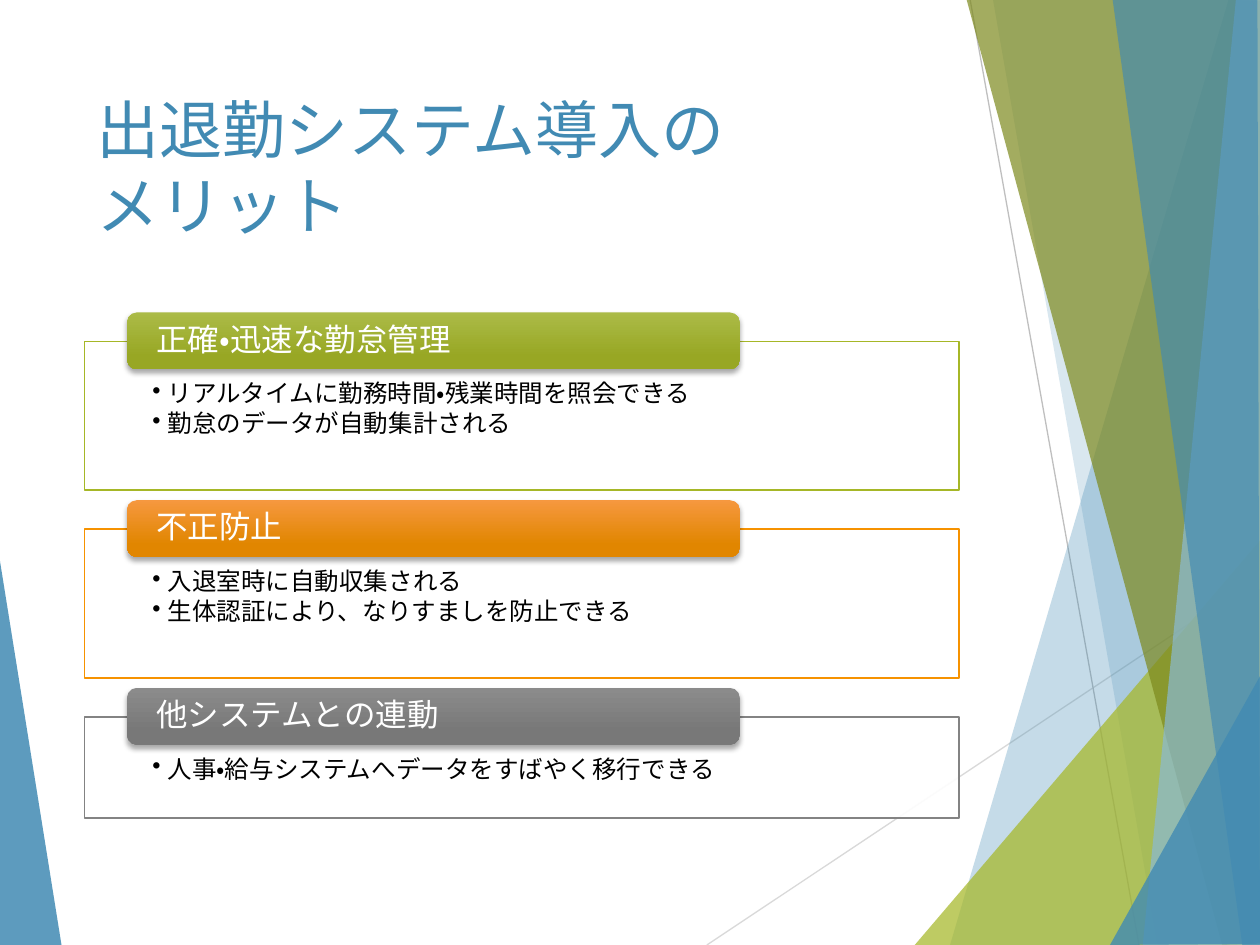
from dataclasses import dataclass

from lxml import etree
from pptx import Presentation
from pptx.dml.color import RGBColor
from pptx.enum import lang, shapes, text
from pptx.oxml import parse_xml
from pptx.oxml.ns import nsdecls, qn
from pptx.util import Inches, Pt


@dataclass(frozen=True)
class Theme:
    font: str = "Lato"
    blue: str = "418AB3"
    pale_blue: str = "8ABAD4"
    green: str = "A6B727"
    dark_green: str = "7D891D"
    white: str = "FFFFFF"
    black: str = "000000"
    title_size: int = 36
    heading_size: int = 18
    point_size: int = 14


@dataclass(frozen=True)
class Facet:
    color: str
    opacity: int
    corners: tuple[tuple[float, float], ...]


@dataclass(frozen=True)
class Ray:
    color: str
    start: tuple[float, float]
    end: tuple[float, float]


@dataclass(frozen=True)
class Merit:
    heading: str
    points: tuple[str, ...]
    height: float
    outline: str
    gradient: tuple[str, str]


THEME = Theme()

LEFT_FACET = Facet(THEME.blue, 85, ((-0.01, 4.39), (0.49, 7.51), (-0.01, 7.5)))
RAYS = (
    Ray("D9D9D9", (5.61, 7.5), (10.01, 4.57)),
    Ray("BFBFBF", (7.7, 0), (9.04, 7.5)),
)
RIGHT_FACETS = (
    Facet(THEME.blue, 30, ((9.75, 0), (7.54, 7.5), (10.02, 7.51), (10.01, 0.01))),
    Facet(THEME.blue, 20, ((7.88, -0.01), (9.19, 7.5), (10.01, 7.5), (10.01, -0.01))),
    Facet(THEME.green, 72, ((7.26, 7.5), (10, 4.29), (10.01, 7.5))),
    Facet(THEME.dark_green, 70, ((7.67, -0.01), (9.7, 7.5), (10.01, 7.49), (10.01, -0.01))),
    Facet(THEME.pale_blue, 70, ((9.81, -0.01), (9.07, 7.5), (10.01, 7.5), (10, -0.01))),
    Facet(THEME.blue, 65, ((8.83, -0.01), (9.86, 7.5), (10, 7.5), (9.98, -0.01))),
    Facet(THEME.blue, 80, ((8.81, 7.5), (10.01, 5.35), (10.01, 7.49))),
)

TITLE_LINES = ("出退勤システム導入の", "メリット")
MERITS = (
    Merit("正確・迅速な勤怠管理",
          ("リアルタイムに勤務時間・残業時間を照会できる", "勤怠のデータが自動集計される"),
          1.18, THEME.green, ("ABBB47", "98A724")),
    Merit("不正防止",
          ("入退室時に自動収集される", "生体認証により、なりすましを防止できる"),
          1.18, "F69200", ("F6983F", "E18600")),
    Merit("他システムとの連動",
          ("人事・給与システムへデータをすばやく移行できる",),
          0.8, "838383", ("8B8B8B", "787878")),
)
MARGIN, CONTENT_WIDTH = 0.67, 6.94
FIRST_TOP, PITCH, HEADING_RISE = 2.71, 1.49, 0.23


def rgb(color: str) -> RGBColor:
    return RGBColor.from_string(color)


def fill_solid(shape, color: str, opacity: int) -> None:
    shape.fill.solid()
    shape.fill.fore_color.rgb = rgb(color)
    tint = shape.fill._xPr.find(qn("a:solidFill"))[0]
    etree.SubElement(tint, qn("a:alpha")).set("val", str(opacity * 1000))


def add_facet(slide, facet: Facet) -> None:
    (x, y), *others = facet.corners
    builder = slide.shapes.build_freeform(Inches(x), Inches(y))
    builder.add_line_segments([(Inches(a), Inches(b)) for a, b in others], close=True)
    shape = builder.convert_to_shape()
    shape.shadow.inherit = False
    fill_solid(shape, facet.color, facet.opacity)
    shape.line.fill.background()


def add_ray(slide, ray: Ray) -> None:
    ends = [Inches(value) for value in (*ray.start, *ray.end)]
    connector = slide.shapes.add_connector(shapes.MSO_CONNECTOR.STRAIGHT, *ends)
    connector.line.color.rgb = rgb(ray.color)
    connector.line.width = Pt(0.75)
    etree.SubElement(connector._element.spPr, qn("a:effectLst"))


def add_run(paragraph, words: str, size: int, color: str) -> None:
    run = paragraph.add_run()
    run.text = words
    run.font.name = THEME.font
    run.font.size = Pt(size)
    run.font.color.rgb = rgb(color)
    run.font.language_id = lang.MSO_LANGUAGE_ID.JAPANESE


def set_frame(shape, anchor, sides: float, top: float, bottom: float):
    frame = shape.text_frame
    frame.word_wrap = True
    frame.vertical_anchor = anchor
    frame.margin_left = frame.margin_right = Inches(sides)
    frame.margin_top, frame.margin_bottom = Inches(top), Inches(bottom)
    return frame


def add_title(slide) -> None:
    box = slide.shapes.add_textbox(
        Inches(MARGIN), Inches(0.67), Inches(CONTENT_WIDTH), Inches(1.44))
    frame = set_frame(box, text.MSO_ANCHOR.TOP, 0.1, 0.05, 0.05)
    paragraph = frame.paragraphs[0]
    for index, line in enumerate(TITLE_LINES):
        if index:
            paragraph.add_line_break()
        add_run(paragraph, line, THEME.title_size, THEME.blue)


def add_bullet(paragraph) -> None:
    properties = paragraph._p.get_or_add_pPr()
    properties.set("marL", str(Inches(0.12)))
    properties.set("indent", str(Inches(-0.12)))
    etree.SubElement(properties, qn("a:buChar")).set("char", "•")


def add_points(slide, merit: Merit, top: float) -> None:
    panel = slide.shapes.add_shape(
        shapes.MSO_SHAPE.RECTANGLE, Inches(MARGIN), Inches(top),
        Inches(CONTENT_WIDTH), Inches(merit.height))
    panel.shadow.inherit = False
    fill_solid(panel, THEME.white, 90)
    panel.line.color.rgb = rgb(merit.outline)
    panel.line.width = Pt(1)
    frame = set_frame(panel, text.MSO_ANCHOR.TOP, 0.54, 0.32, 0.11)
    for index, point in enumerate(merit.points):
        paragraph = frame.add_paragraph() if index else frame.paragraphs[0]
        paragraph.alignment = text.PP_ALIGN.LEFT
        paragraph.line_spacing = 0.9
        paragraph.space_after = Pt(2)
        add_bullet(paragraph)
        add_run(paragraph, point, THEME.point_size, THEME.black)


def add_heading(slide, merit: Merit, top: float) -> None:
    tab = slide.shapes.add_shape(
        shapes.MSO_SHAPE.ROUNDED_RECTANGLE, Inches(1.01), Inches(top),
        Inches(4.86), Inches(0.45))
    tab.line.fill.background()
    tab.fill.gradient()
    tab.fill.gradient_angle = 270
    for stop, color, position in zip(tab.fill.gradient_stops, merit.gradient, (0, 0.78)):
        stop.color.rgb = rgb(color)
        stop.position = position
    tab._element.spPr.append(parse_xml(
        f'<a:effectLst {nsdecls("a")}><a:outerShdw blurRad="{Pt(3)}" dist="{Pt(2)}" '
        f'dir="5400000" rotWithShape="0"><a:srgbClr val="{THEME.black}">'
        '<a:alpha val="35000"/></a:srgbClr></a:outerShdw></a:effectLst>'))
    frame = set_frame(tab, text.MSO_ANCHOR.MIDDLE, 0.21, 0, 0)
    paragraph = frame.paragraphs[0]
    paragraph.alignment = text.PP_ALIGN.LEFT
    paragraph.line_spacing = 0.9
    add_run(paragraph, merit.heading, THEME.heading_size, THEME.white)


def main() -> None:
    deck = Presentation()
    deck.slide_width, deck.slide_height = Inches(10), Inches(7.5)
    slide = deck.slides.add_slide(deck.slide_layouts[6])
    add_facet(slide, LEFT_FACET)
    for ray in RAYS:
        add_ray(slide, ray)
    for facet in RIGHT_FACETS:
        add_facet(slide, facet)
    add_title(slide)
    for index, merit in enumerate(MERITS):
        top = FIRST_TOP + index * PITCH
        add_points(slide, merit, top)
        add_heading(slide, merit, top - HEADING_RISE)
    deck.save("out.pptx")


if __name__ == "__main__":
    main()
